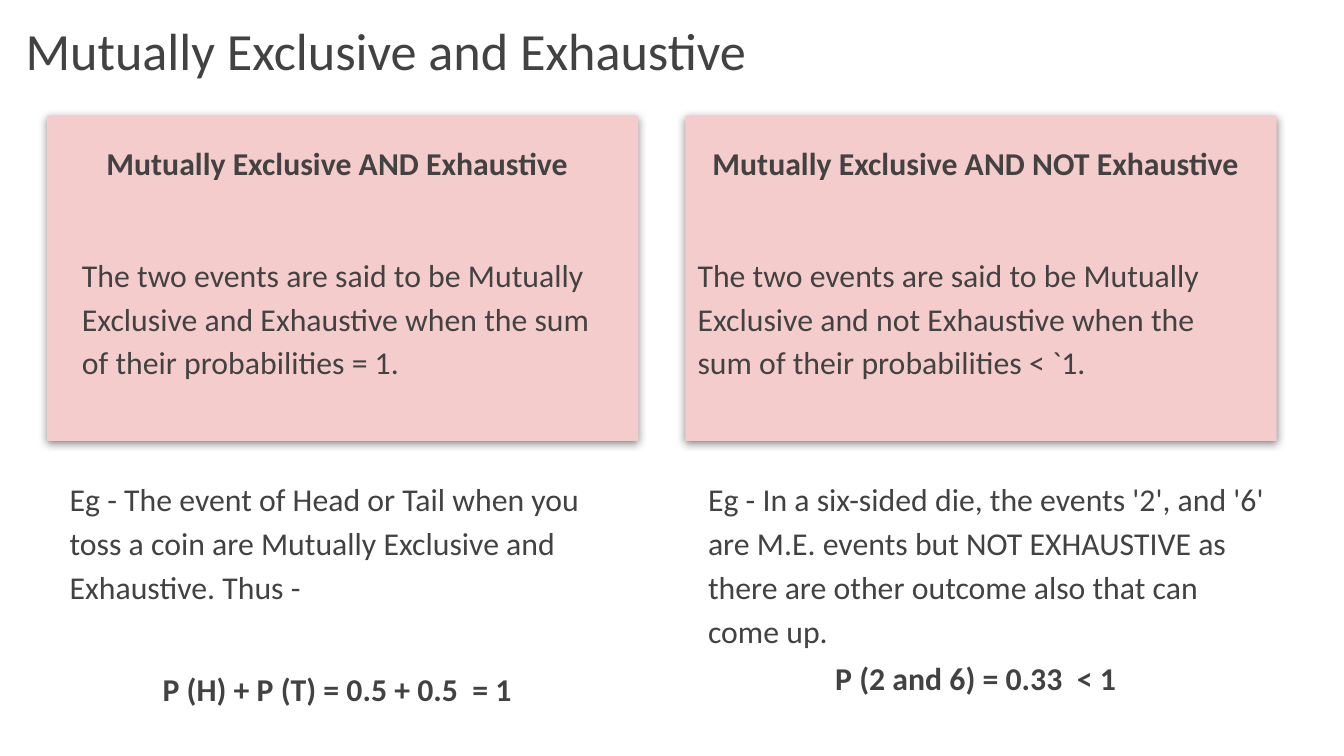
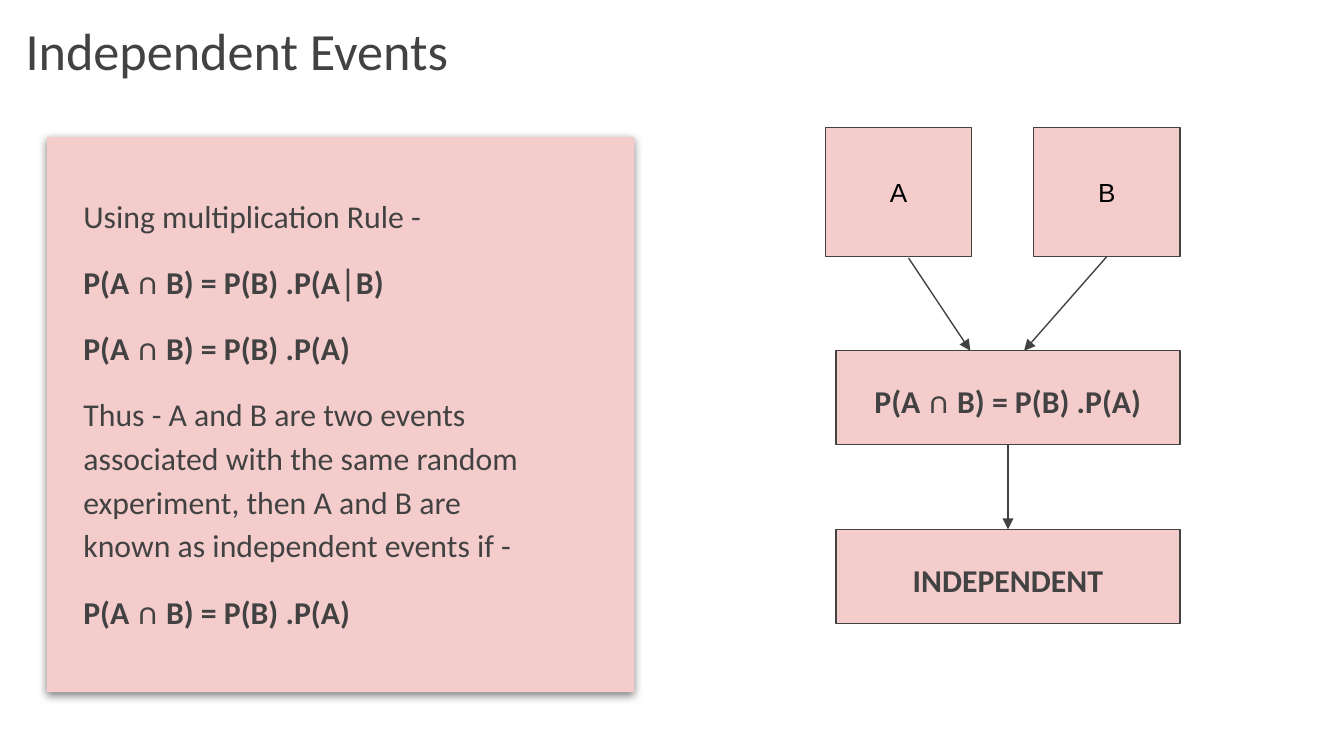
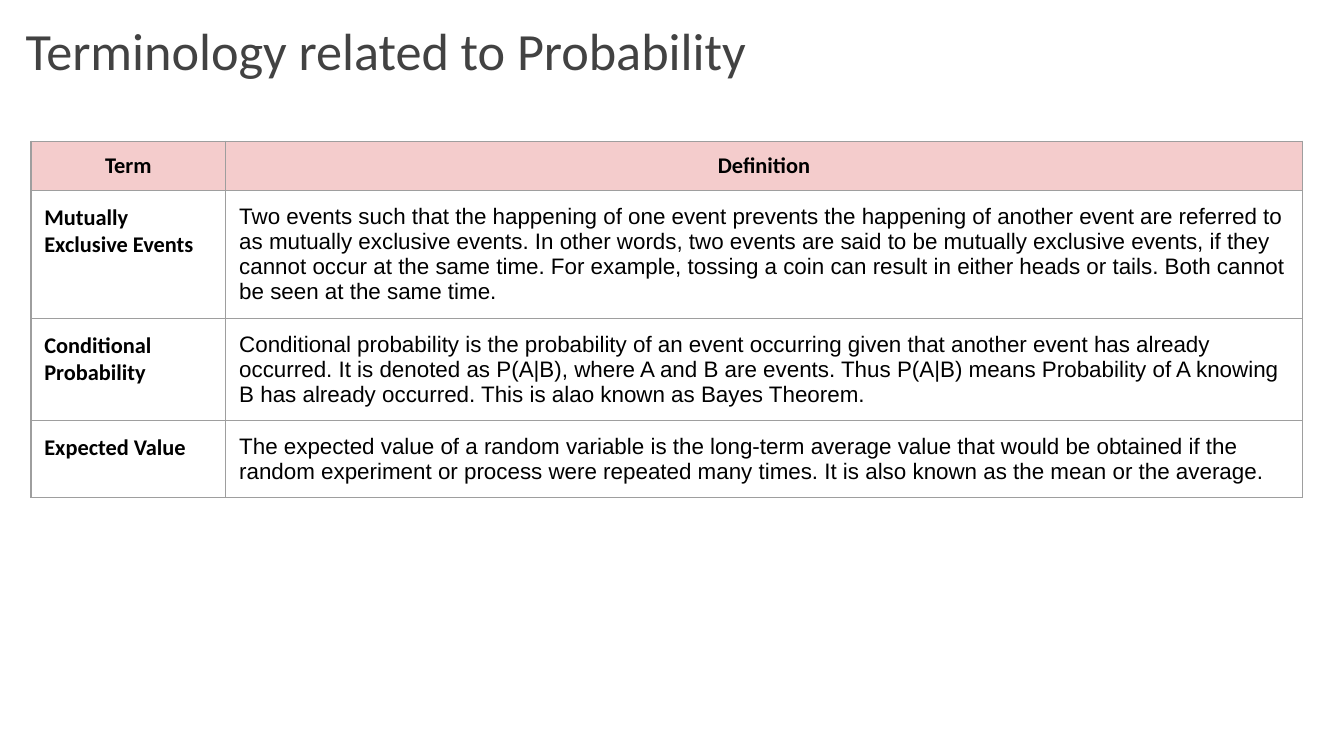
import pptx
import pptx.dml.color
import pptx.enum.shapes
import pptx.enum.text
import pptx.oxml
import pptx.util
import lxml.etree

COLORS = {"ink": "424242", "pink": "F4CCCC", "white": "FFFFFF",
          "black": "000000", "border": "9E9E9E"}
RGB = {name: pptx.dml.color.RGBColor.from_string(value) for name, value in COLORS.items()}
NAMESPACE = 'xmlns:a="http://schemas.openxmlformats.org/drawingml/2006/main"'
ALIGN = pptx.enum.text.PP_ALIGN
ANCHOR = pptx.enum.text.MSO_ANCHOR
RECTANGLE = pptx.enum.shapes.MSO_SHAPE.RECTANGLE
STRAIGHT = pptx.enum.shapes.MSO_CONNECTOR.STRAIGHT
Pt = pptx.util.Pt

presentation = pptx.Presentation()
presentation.slide_width = pptx.util.Inches(10)
presentation.slide_height = pptx.util.Emu(5143500)
# Square grid, 100 columns across the slide
CELL = presentation.slide_width / 100

# Text formats
BODY = {"size": Pt(17), "name": "Calibri", "color": "ink", "bold": False,
        "alignment": ALIGN.LEFT, "line_spacing": 1.15,
        "space_before": Pt(0), "space_after": Pt(0)}
STRONG = BODY | {"bold": True}
CENTERED = STRONG | {"alignment": ALIGN.CENTER}
TITLE = BODY | {"size": Pt(28), "space_after": Pt(16)}
EVENT = CENTERED | {"size": Pt(14), "name": "Arial", "color": "black",
                    "bold": False, "line_spacing": 1.0}
TERM = STRONG | {"size": Pt(12), "color": "black", "line_spacing": 1.0}
HEADER = TERM | {"alignment": ALIGN.CENTER}
DEFINITION = TERM | {"name": "Arial", "bold": False}


def place(*columns_and_rows):
    """Turn grid columns and rows into lengths."""
    return [pptx.util.Emu(round(value * CELL)) for value in columns_and_rows]


def write(holder, paragraphs, anchor=ANCHOR.TOP, margin=1):
    """Fill a text frame or table cell with (text, format) paragraphs."""
    for side in ("left", "top", "right", "bottom"):
        setattr(holder, "margin_" + side, place(margin)[0])
    holder.vertical_anchor = anchor
    frame = getattr(holder, "text_frame", holder)
    frame.word_wrap = True
    frame.auto_size = pptx.enum.text.MSO_AUTO_SIZE.NONE
    for index, (text, text_format) in enumerate(paragraphs):
        paragraph = frame.add_paragraph() if index else frame.paragraphs[0]
        properties = paragraph._p.get_or_add_pPr()
        properties.set("marL", "0")
        properties.set("indent", "0")
        properties.append(pptx.oxml.parse_xml(f"<a:buNone {NAMESPACE}/>"))
        run = paragraph.add_run()
        run.text = text
        for name, value in text_format.items():
            if name == "color":
                run.font.color.rgb = RGB[value]
            else:
                setattr(run.font if name in ("size", "name", "bold") else paragraph, name, value)


# Slides and titles: layouts 4 Comparison, 1 Title and Content, 5 Title Only
slides = []
for layout, title_text in ((4, "Mutually Exclusive and Exhaustive"),
                           (1, "Independent Events"),
                           (5, "Terminology related to Probability")):
    slide = presentation.slides.add_slide(presentation.slide_layouts[layout])
    title = slide.shapes.title
    title.left, title.top, title.width, title.height = place(0.9, 0.7, 94.8, 6.3)
    title.fill.solid()
    title.fill.fore_color.rgb = RGB["white"]
    write(title.text_frame, [(title_text, TITLE)], ANCHOR.BOTTOM)
    slides.append(slide)
exclusive_slide, independent_slide, terms_slide = slides

# Shadowed cards, placed behind the body text
SHADOW = f"""<a:effectLst {NAMESPACE}><a:outerShdw blurRad="57150" dist="19050"
dir="5400000" algn="bl" rotWithShape="0"><a:srgbClr val="{COLORS['black']}">
<a:alpha val="50000"/></a:srgbClr></a:outerShdw></a:effectLst>"""
for slide, area in ((exclusive_slide, (3.5, 8.6, 44, 24.2)),
                    (exclusive_slide, (51, 8.6, 44, 24.2)),
                    (independent_slide, (3.5, 10.2, 43.7, 41.3))):
    card = slide.shapes.add_shape(RECTANGLE, *place(*area))
    card.fill.solid()
    card.fill.fore_color.rgb = RGB["pink"]
    card.line.fill.background()
    card._element.spPr.append(pptx.oxml.parse_xml(SHADOW))
    slide.shapes.title.element.addnext(card.element)

# Slide 1: heading, definition, example and formula on each side
comparison = [
    (1, (4.2, 9.3, 41.8, 4.7), "Mutually Exclusive AND Exhaustive", CENTERED),
    (2, (5.1, 17.6, 41.8, 12.3), "The two events are said to be Mutually Exclusive and "
     "Exhaustive when the sum of their probabilities = 1.", BODY),
    (None, (4.2, 34.3, 44, 12.3), "Eg - The event of Head or Tail when you toss a coin are "
     "Mutually Exclusive and Exhaustive. Thus -", BODY),
    (None, (4.2, 48.4, 41.8, 5.5), "P (H) + P (T) = 0.5 + 0.5  = 1", CENTERED),
    (3, (51.7, 9.3, 41.8, 4.7), "Mutually Exclusive AND NOT Exhaustive", CENTERED),
    (4, (50.9, 17.6, 43.4, 12.3), "The two events are said to be Mutually Exclusive and not "
     "Exhaustive when the sum of their probabilities < `1.", BODY),
    (None, (51.7, 34.3, 43.4, 12.3), "Eg - In a six-sided die, the events '2', and '6' are "
     "M.E. events but NOT EXHAUSTIVE as there are other outcome also that can come up.", BODY),
    (None, (51.7, 47.6, 41.8, 5.5), "P (2 and 6) = 0.33  < 1", CENTERED),
]
for placeholder_index, area, text, text_format in comparison:
    if placeholder_index:
        box = exclusive_slide.placeholders[placeholder_index]
        box.left, box.top, box.width, box.height = place(*area)
    else:
        box = exclusive_slide.shapes.add_textbox(*place(*area))
    write(box.text_frame, [(text, text_format)])

# Slide 2: multiplication rule
product_rule = "P(A ∩ B) = P(B) .P(A)"
spaced = {"space_before": Pt(12)}
rule = independent_slide.placeholders[1]
rule.left, rule.top, rule.width, rule.height = place(5.2, 13.2, 35.7, 35.4)
write(rule.text_frame, [
    ("Using multiplication Rule -", BODY),
    ("P(A ∩ B) = P(B) .P(A│B)", STRONG | spaced),
    (product_rule, STRONG | spaced),
    ("Thus - A and B are two events associated with the same random experiment, "
     "then A and B are known as independent events if -", BODY | spaced),
    (product_rule, STRONG | spaced | {"space_after": Pt(12)}),
])

# Slide 2: flow of boxes and arrows
result = CENTERED | {"space_after": Pt(12)}
flow = []
for text, area, text_format in (("A", (61.4, 9.5, 10.9, 9.6), EVENT),
                                ("B", (76.9, 9.5, 10.9, 9.6), EVENT),
                                (product_rule, (62.2, 26.1, 25.6, 7), result),
                                ("INDEPENDENT", (62.2, 39.4, 25.6, 7), result)):
    box = independent_slide.shapes.add_shape(RECTANGLE, *place(*area))
    box.shadow.inherit = False
    box.fill.solid()
    box.fill.fore_color.rgb = RGB["pink"]
    box.line.color.rgb = RGB["ink"]
    box.line.width = Pt(0.75)
    write(box.text_frame, [(text, text_format)], ANCHOR.MIDDLE)
    flow.append(box)
event_a, event_b, product, independent = flow

for ends, source, target in (((67.6, 19.2, 72.2, 26.1), None, None),
                             ((82.4, 19.1, 76.2, 26.1), event_b, None),
                             ((75, 33.1, 75, 39.4), product, independent)):
    arrow = independent_slide.shapes.add_connector(STRAIGHT, *place(*ends))
    if source:
        arrow.begin_connect(source, 2)
    if target:
        arrow.end_connect(target, 0)
    arrow.line.color.rgb = RGB["ink"]
    arrow.line.width = Pt(0.75)
    arrow.line._get_or_add_ln().append(
        pptx.oxml.parse_xml(f'<a:tailEnd {NAMESPACE} type="triangle"/>'))
    arrow._element.spPr.append(pptx.oxml.parse_xml(f"<a:effectLst {NAMESPACE}/>"))

# Slide 3: table of terms
terms = [
    ("Term", "Definition"),
    ("Mutually Exclusive Events",
     "Two events such that the happening of one event prevents the happening of another event "
     "are referred to as mutually exclusive events. In other words, two events are said to be "
     "mutually exclusive events, if they cannot occur at the same time. For example, tossing a "
     "coin can result in either heads or tails. Both cannot be seen at the same time."),
    ("Conditional Probability",
     "Conditional probability is the probability of an event occurring given that another event "
     "has already occurred. It is denoted as P(A|B), where A and B are events. Thus P(A|B) means "
     "Probability of A knowing B has already occurred. This is alao known as Bayes Theorem."),
    ("Expected Value",
     "The expected value of a random variable is the long-term average value that would be "
     "obtained if the random experiment or process were repeated many times. It is also known "
     "as the mean or the average."),
]
row_heights = place(3.7, 9.5, 7.6, 5.7)
table = terms_slide.shapes.add_table(len(terms), 2, *place(2.3, 10.5, 94.6, 26.5)).table
for column, width in zip(table.columns, place(14.5, 80.1)):
    column.width = width
for row_index, texts in enumerate(terms):
    table.rows[row_index].height = row_heights[row_index]
    for column_index, text in enumerate(texts):
        cell = table.cell(row_index, column_index)
        for edge in ("lnL", "lnR", "lnT", "lnB"):
            cell._tc.get_or_add_tcPr().append(pptx.oxml.parse_xml(
                f'<a:{edge} {NAMESPACE} w="9525"><a:solidFill>'
                f'<a:srgbClr val="{COLORS["border"]}"/></a:solidFill></a:{edge}>'))
        if row_index == 0:
            cell.fill.solid()
            cell.fill.fore_color.rgb = RGB["pink"]
            write(cell, [(text, HEADER)], ANCHOR.MIDDLE, 0)
        else:
            cell.fill.background()
            write(cell, [(text, DEFINITION if column_index else TERM)])

presentation.save("out.pptx")
